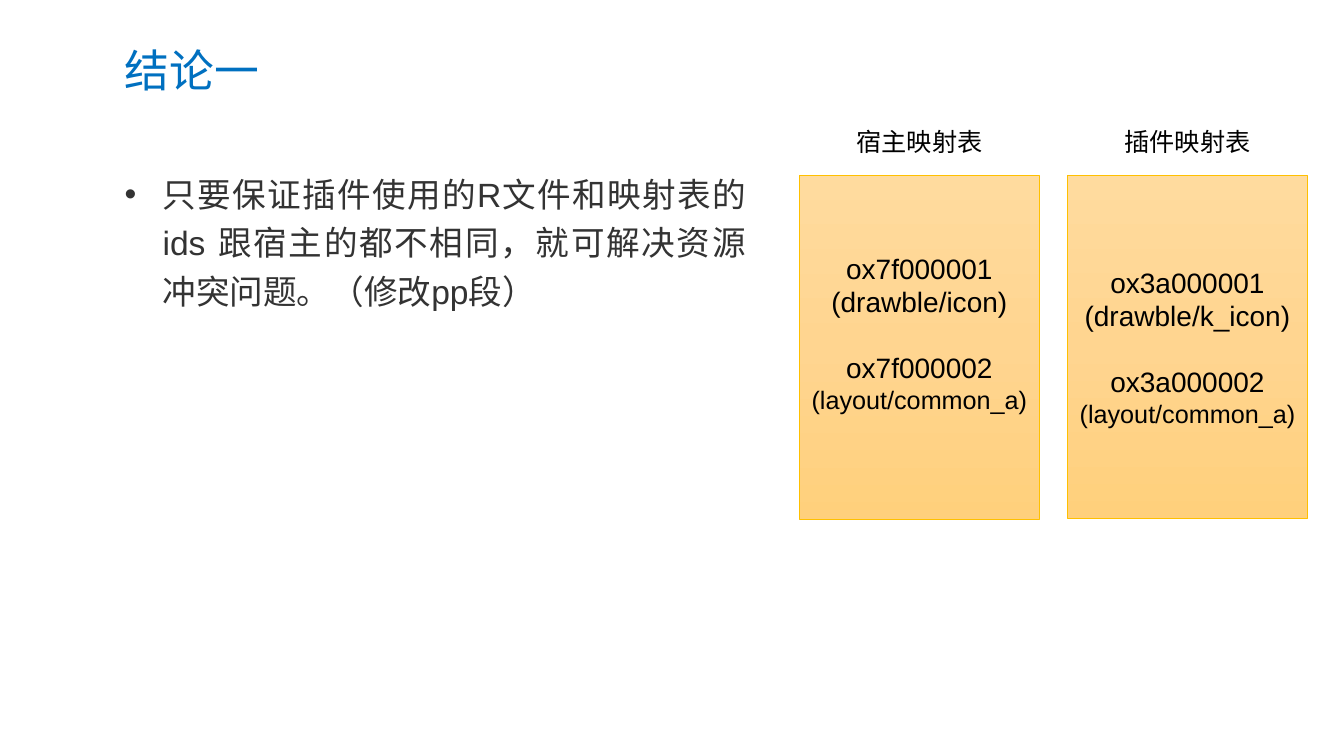
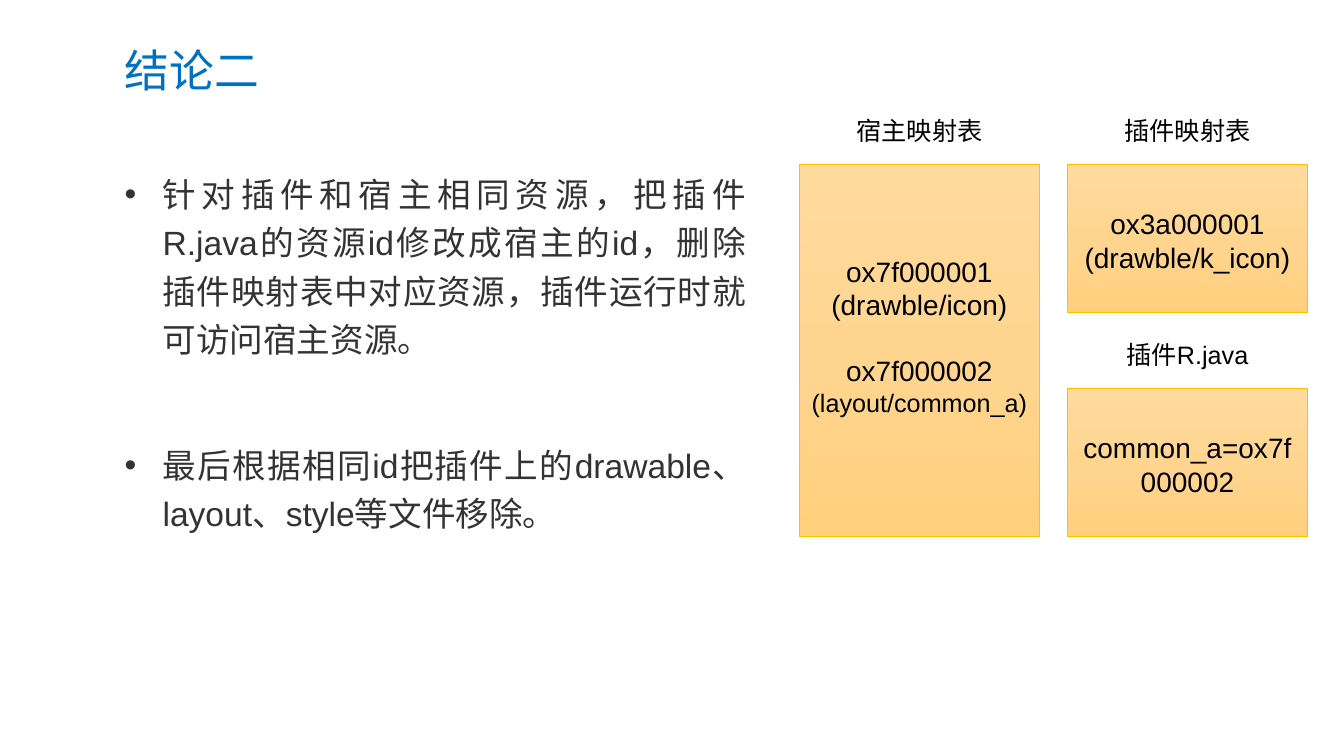
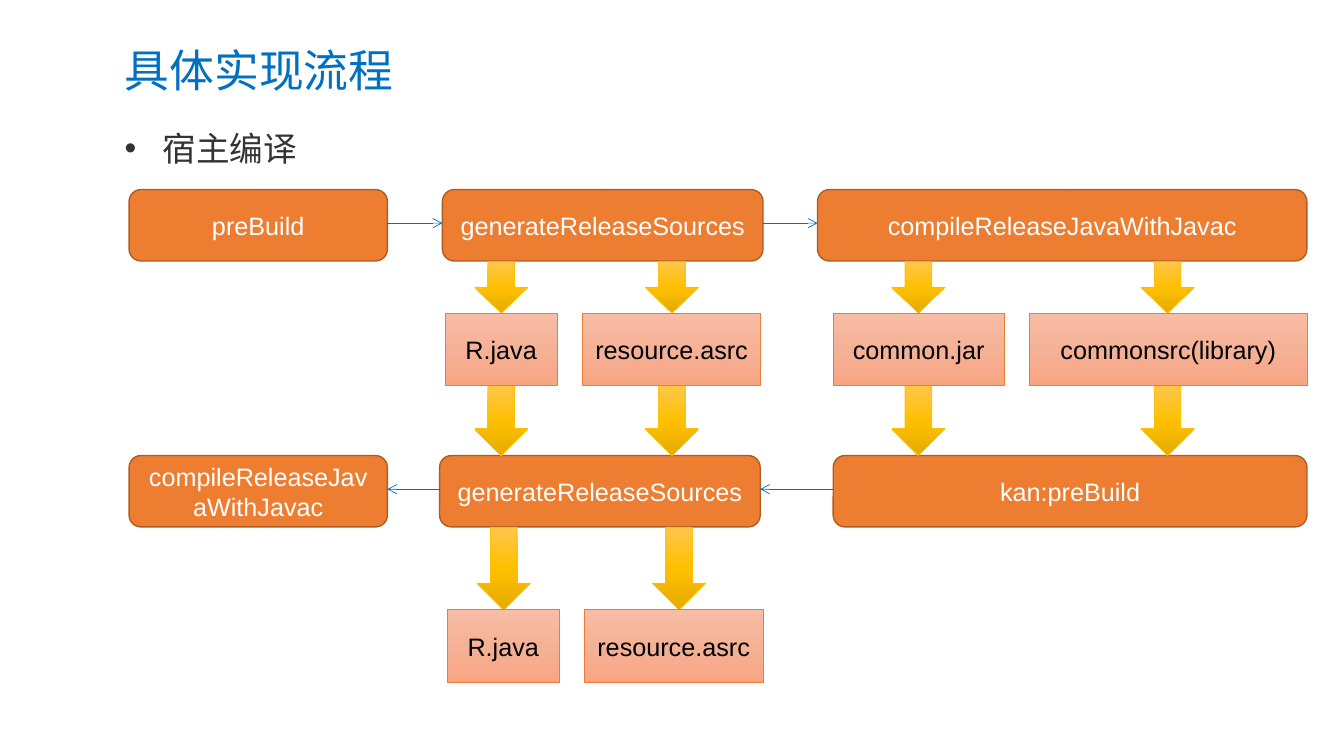
from copy import deepcopy

from pptx import Presentation
from pptx.dml.color import RGBColor
from pptx.enum.shapes import MSO_CONNECTOR as Conn, MSO_SHAPE as Kind
from pptx.enum.text import MSO_ANCHOR as Anchor, PP_ALIGN as Align
from pptx.oxml.ns import qn
from pptx.oxml.xmlchemy import OxmlElement as Elem
from pptx.util import Pt

FONT = "Arial"
HEX = {
    "title": "0070C0", "body": "333333", "black": "000000", "white": "FFFFFF",
    "step": "ED7D31", "edge": "AF5C24", "gold": "FFC000",
}
FADES = {
    "panel": ("FFDB9E", "FFD590", "FFD07C"),
    "file": ("F7BDA5", "F5B196", "F8A582"),
    "arrow": ("FFC64B", "FFC000", "E3AB00"),
}
HOST, PLUG = 571, 762.5  # left edges of the two panel columns
PANEL_W = 171.5
STEP_H, FILE_H, ARROW_W = 51, 52, 38
HOST_IDS = [
    "ox7f000001", "(drawble/icon)",
    ("ox7f000002", {"gap": 23}), ("(layout/common_a)", {"size": 18}),
]


def rgb(name):
    return RGBColor.from_string(HEX[name])


def bullet(para):
    props = para._p.get_or_add_pPr()
    props.set("marL", str(Pt(27)))
    props.set("indent", str(-Pt(27)))
    font, mark = Elem("a:buFont"), Elem("a:buChar")
    font.set("typeface", FONT)
    mark.set("char", "•")
    props.extend([font, mark])


def write(shape, lines, anchor=Anchor.TOP, **base):
    """Fill a shape; a line is a string or (string, overrides of the format)."""
    frame = shape.text_frame
    frame.word_wrap = True
    frame.vertical_anchor = anchor
    for i, line in enumerate(lines):
        text, own = (line, {}) if isinstance(line, str) else line
        fmt = {"size": 18, "color": "black", "align": Align.CENTER, **base, **own}
        para = frame.paragraphs[0] if i == 0 else frame.add_paragraph()
        if fmt.get("dot"):
            bullet(para)
        para.alignment = fmt["align"]
        if "lead" in fmt:
            para.line_spacing = fmt["lead"]
        if "gap" in fmt:
            para.space_before = Pt(fmt["gap"])
        run = para.add_run()
        run.text = text
        run.font.name = FONT
        run.font.size = Pt(fmt["size"])
        run.font.color.rgb = rgb(fmt["color"])


def label(slide, box, lines, **fmt):
    write(slide.shapes.add_textbox(*map(Pt, box)), lines, **fmt)


def fade(shape, colors):
    """Fill from top to bottom with three evenly spaced colours."""
    shape.fill.gradient()
    shape.fill.gradient_angle = 270
    stops = shape._element.spPr.find(qn("a:gradFill")).find(qn("a:gsLst"))
    stops.insert(1, deepcopy(stops[0]))
    for i, stop in enumerate(shape.fill.gradient_stops):
        stop.position = i / 2
        stop.color.rgb = RGBColor.from_string(colors[i])


def block(slide, kind, box, fill, edge, width=0.5):
    shape = slide.shapes.add_shape(kind, *map(Pt, box))
    shape.shadow.inherit = False
    if fill in FADES:
        fade(shape, FADES[fill])
    else:
        shape.fill.solid()
        shape.fill.fore_color.rgb = rgb(fill)
    shape.line.color.rgb = rgb(edge)
    shape.line.width = Pt(width)
    return shape


def panel(slide, left, top, height, name, lines, foot=3.6):
    """Captioned id table; foot is the bottom inset."""
    shape = block(slide, Kind.RECTANGLE, (left, top, PANEL_W, height), "panel", "gold")
    shape.text_frame.margin_bottom = Pt(foot)
    write(shape, lines, anchor=Anchor.MIDDLE, size=20)
    label(slide, (left, top - 38.5, PANEL_W, 29), [name])


def link(slide, start, end, drop=24):
    y = start.top + Pt(drop)
    if start.left < end.left:
        x1, x2 = start.left + start.width, end.left
    else:
        x1, x2 = start.left, end.left + end.width
    line = slide.shapes.add_connector(Conn.STRAIGHT, x1, y, x2, y)
    line.line.color.rgb = rgb("title")
    line.line.width = Pt(0.5)
    tail = Elem("a:tailEnd")
    tail.set("type", "arrow")
    line.line._get_or_add_ln().append(tail)
    line._element.spPr.append(Elem("a:effectLst"))


def chain(slide, top, steps):
    """Row of steps given in flow order, each linked to the next."""
    shapes = []
    for left, width, text in steps:
        box = (left, top, width, STEP_H)
        shape = block(slide, Kind.ROUNDED_RECTANGLE, box, "step", "edge", 1)
        write(shape, [text], anchor=Anchor.MIDDLE, color="white")
        shapes.append(shape)
    for start, end in zip(shapes, shapes[1:]):
        link(slide, start, end)


def files(slide, top, items):
    for left, width, text in items:
        shape = block(slide, Kind.RECTANGLE, (left, top, width, FILE_H), "file", "step")
        write(shape, [text], anchor=Anchor.MIDDLE)


def arrows(slide, top, height, lefts):
    for left in lefts:
        block(slide, Kind.DOWN_ARROW, (left, top, ARROW_W, height), "arrow", "gold")


def page(deck, title, points, body=(82, 115, 458, 352)):
    slide = deck.slides.add_slide(deck.slide_layouts[6])
    label(slide, (82, 21.6, 806, 60.5), [title], anchor=Anchor.MIDDLE,
          size=32, color="title", align=Align.LEFT, lead=0.9)
    label(slide, body, points, size=24, color="body",
          align=Align.JUSTIFY, lead=1.2, dot=True)
    return slide


def first(deck):
    slide = page(deck, "结论一", [
        "只要保证插件使用的R文件和映射表的ids 跟宿主的都不相同，"
        "就可解决资源冲突问题。（修改pp段）"])
    panel(slide, HOST, 125.3, 245.5, "宿主映射表", HOST_IDS, foot=24.3)
    panel(slide, PLUG, 125.3, 244.8, "插件映射表", [
        "ox3a000001", "(drawble/k_icon)",
        ("ox3a000002", {"gap": 23}), ("(layout/common_a)", {"size": 18})])


def second(deck):
    slide = page(deck, "结论二", [
        "针对插件和宿主相同资源，把插件R.java的资源id修改成宿主的id，"
        "删除插件映射表中对应资源，插件运行时就可访问宿主资源。",
        ("最后根据相同id把插件上的drawable、layout、style等文件移除。", {"gap": 55})])
    panel(slide, HOST, 117.4, 265.7, "宿主映射表", HOST_IDS, foot=24.3)
    panel(slide, PLUG, 117.4, 106, "插件映射表",
          ["ox3a000001", "(drawble/k_icon)"], foot=1)
    panel(slide, PLUG, 277.2, 106, "插件R.java", ["common_a=ox7f000002"], foot=1)


def third(deck):
    slide = page(deck, "具体实现流程", ["宿主编译"], (82, 82, 868, 150))
    chain(slide, 135.4, [
        (92.2, 184.5, "preBuild"),
        (316, 229, "generateReleaseSources"),
        (584, 349.5, "compileReleaseJavaWithJavac")])
    chain(slide, 325.4, [
        (595.2, 338.4, "kan:preBuild"),
        (314, 229, "generateReleaseSources"),
        (92.2, 184.5, "compileReleaseJavaWithJavac")])
    lanes = (339, 461, 637, 815)
    arrows(slide, 187, 36.5, lanes)
    arrows(slide, 275.8, 49.6, lanes)
    arrows(slide, 376.6, 59, (340.8, 466))
    built = [(318, 80, "R.java"), (416, 127.5, "resource.asrc")]
    files(slide, 223.5, built + [
        (595.2, 122, "common.jar"), (735, 199, "commonsrc(library)")])
    files(slide, 435.6, [(left + 1.5, width, text) for left, width, text in built])


def main():
    deck = Presentation()
    deck.slide_width, deck.slide_height = Pt(960), Pt(540)
    for build in (first, second, third):
        build(deck)
    deck.save("out.pptx")


if __name__ == "__main__":
    main()
